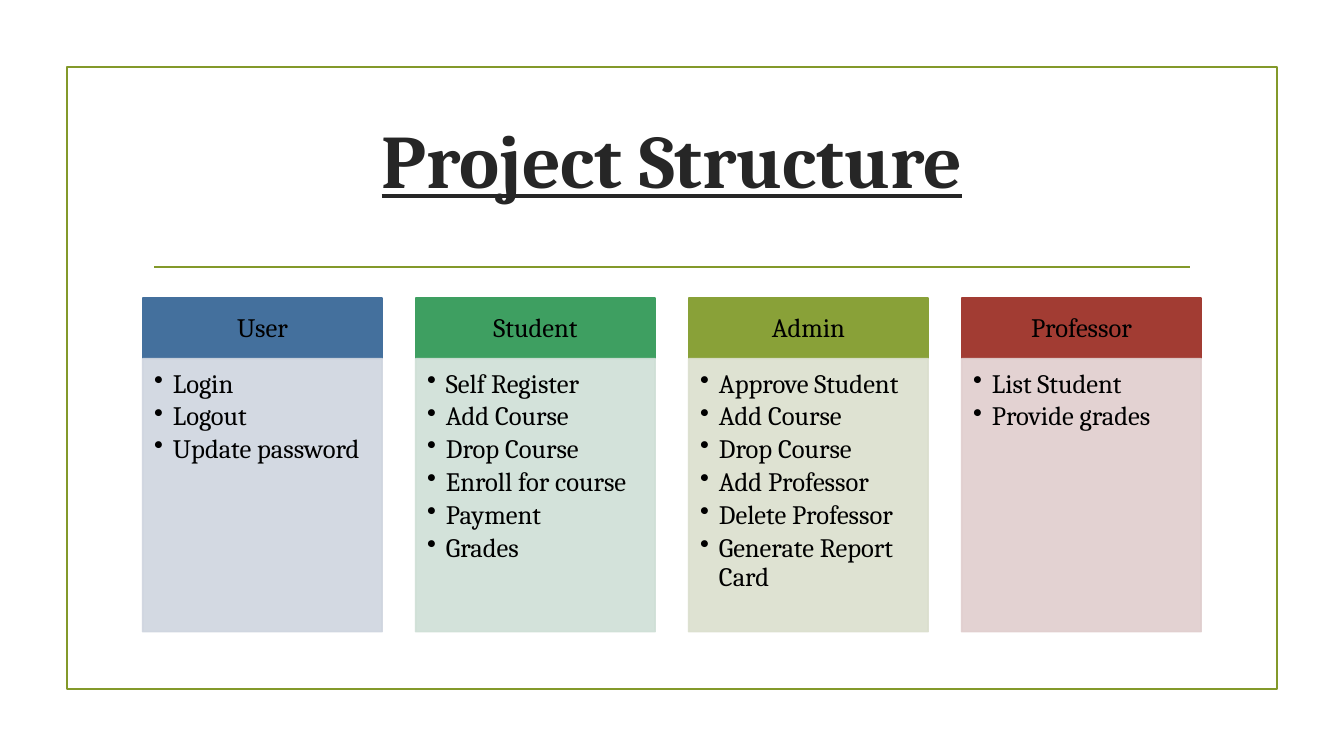
import collections

import pptx
import pptx.dml.color
import pptx.enum.shapes
import pptx.enum.text
import pptx.oxml.ns
import pptx.oxml.xmlchemy
import pptx.util

SLIDE_WIDTH, SLIDE_HEIGHT = 13.333, 7.5
COLUMNS, ROWS = 160, 90
FONT = "Cambria"
COLORS = {
    "accent": "83992A", "title": "262626", "text": "000000",
    "user": "44709D", "user_light": "CFD5DF",
    "student": "3E9F61", "student_light": "CFDFD6",
    "admin": "89A138", "admin_light": "DBDFCE",
    "professor": "A23C33", "professor_light": "E0CECE",
}
ROLES = {
    "User": ["Login", "Logout", "Update password"],
    "Student": ["Self Register", "Add Course", "Drop Course",
                "Enroll for course", "Payment", "Grades"],
    "Admin": ["Approve Student", "Add Course", "Drop Course",
              "Add Professor", "Delete Professor", "Generate Report Card"],
    "Professor": ["List Student", "Provide grades"],
}
RECTANGLE = pptx.enum.shapes.MSO_SHAPE.RECTANGLE
ANCHOR = pptx.enum.text.MSO_ANCHOR
ALIGN = pptx.enum.text.PP_ALIGN

# Left, top, width and height in grid cells
Box = collections.namedtuple("Box", "left top width height")


def across(cells):
    return pptx.util.Inches(SLIDE_WIDTH * cells / COLUMNS)


def down(cells):
    return pptx.util.Inches(SLIDE_HEIGHT * cells / ROWS)


def place(box):
    return across(box.left), down(box.top), across(box.width), down(box.height)


def rgb(name):
    return pptx.dml.color.RGBColor.from_string(COLORS[name])


def set_line(line, color):
    line.color.rgb = rgb(color)
    line.width = pptx.util.Pt(1.25)


def add_rectangle(slide, box, line, fill=None, opacity=100):
    shape = slide.shapes.add_shape(RECTANGLE, *place(box))
    shape.shadow.inherit = False
    set_line(shape.line, line)
    if fill is None:
        shape.fill.background()
    else:
        shape.fill.solid()
        shape.fill.fore_color.rgb = rgb(fill)
    if opacity < 100:
        for color in shape.element.spPr.iter(pptx.oxml.ns.qn("a:srgbClr")):
            alpha = pptx.oxml.xmlchemy.OxmlElement("a:alpha")
            alpha.set("val", str(opacity * 1000))
            color.append(alpha)
    return shape


def add_bullet(para):
    properties = para._p.get_or_add_pPr()
    indent = across(2.25)
    properties.set("marL", str(indent))
    properties.set("indent", str(-indent))
    bullet = pptx.oxml.xmlchemy.OxmlElement("a:buChar")
    bullet.set("char", "•")
    properties.append(bullet)


def write_text(shape, lines, size=19, color="text", bold=False, underline=False,
               align=ALIGN.CENTER, anchor=ANCHOR.MIDDLE, spacing=0.9, after=0,
               bullets=False, margins=(1.8, 1, 1.8, 1)):
    frame = shape.text_frame
    frame.word_wrap = True
    frame.vertical_anchor = anchor
    left, top, right, bottom = margins
    frame.margin_left, frame.margin_right = across(left), across(right)
    frame.margin_top, frame.margin_bottom = down(top), down(bottom)
    for index, line in enumerate(lines):
        para = frame.add_paragraph() if index else frame.paragraphs[0]
        para.alignment = align
        para.line_spacing = spacing
        para.space_after = pptx.util.Pt(after)
        if bullets:
            add_bullet(para)
        span = para.add_run()
        span.text = line
        span.font.name = FONT
        span.font.size = pptx.util.Pt(size)
        span.font.bold = bold
        span.font.underline = underline
        span.font.color.rgb = rgb(color)


def add_heading(slide, box):
    # Title with a rule below it
    title = slide.shapes.add_textbox(*place(box._replace(height=17.2)))
    write_text(title, ["Project Structure"], size=54, color="title",
               bold=True, underline=True, spacing=1)
    inset = 1.35
    rule_y = down(box.top + box.height)
    rule = slide.shapes.add_connector(
        pptx.enum.shapes.MSO_CONNECTOR.STRAIGHT,
        across(box.left + inset), rule_y,
        across(box.left + box.width - inset), rule_y)
    set_line(rule.line, "accent")
    rule.element.spPr.append(pptx.oxml.xmlchemy.OxmlElement("a:effectLst"))


def add_role_card(slide, box, role, actions):
    # Coloured header over a pale list of actions
    color = role.lower()
    light = color + "_light"
    header_height = 7.2
    header = add_rectangle(slide, box._replace(height=header_height), color, color)
    write_text(header, [role])
    body = add_rectangle(
        slide, box._replace(top=box.top + header_height,
                            height=box.height - header_height),
        light, light, opacity=90)
    write_text(body, actions, align=ALIGN.LEFT, anchor=ANCHOR.TOP, after=3,
               bullets=True, margins=(1.35, 1.35, 1.8, 2))


def add_role_cards(slide, box, gap=4):
    # Equal cards side by side
    width = (box.width - gap * (len(ROLES) - 1)) / len(ROLES)
    for index, (role, actions) in enumerate(ROLES.items()):
        left = box.left + index * (width + gap)
        add_role_card(slide, box._replace(left=left, width=width), role, actions)


def main():
    deck = pptx.Presentation()
    deck.slide_width = pptx.util.Inches(SLIDE_WIDTH)
    deck.slide_height = pptx.util.Inches(SLIDE_HEIGHT)
    slide = deck.slides.add_slide(deck.slide_layouts[6])
    # Page border
    add_rectangle(slide, Box(8, 8, 144, 74), "accent")
    add_heading(slide, Box(17, 10.2, 126, 21.6))
    add_role_cards(slide, Box(17, 35.5, 126, 39.7))
    deck.save("out.pptx")


if __name__ == "__main__":
    main()
